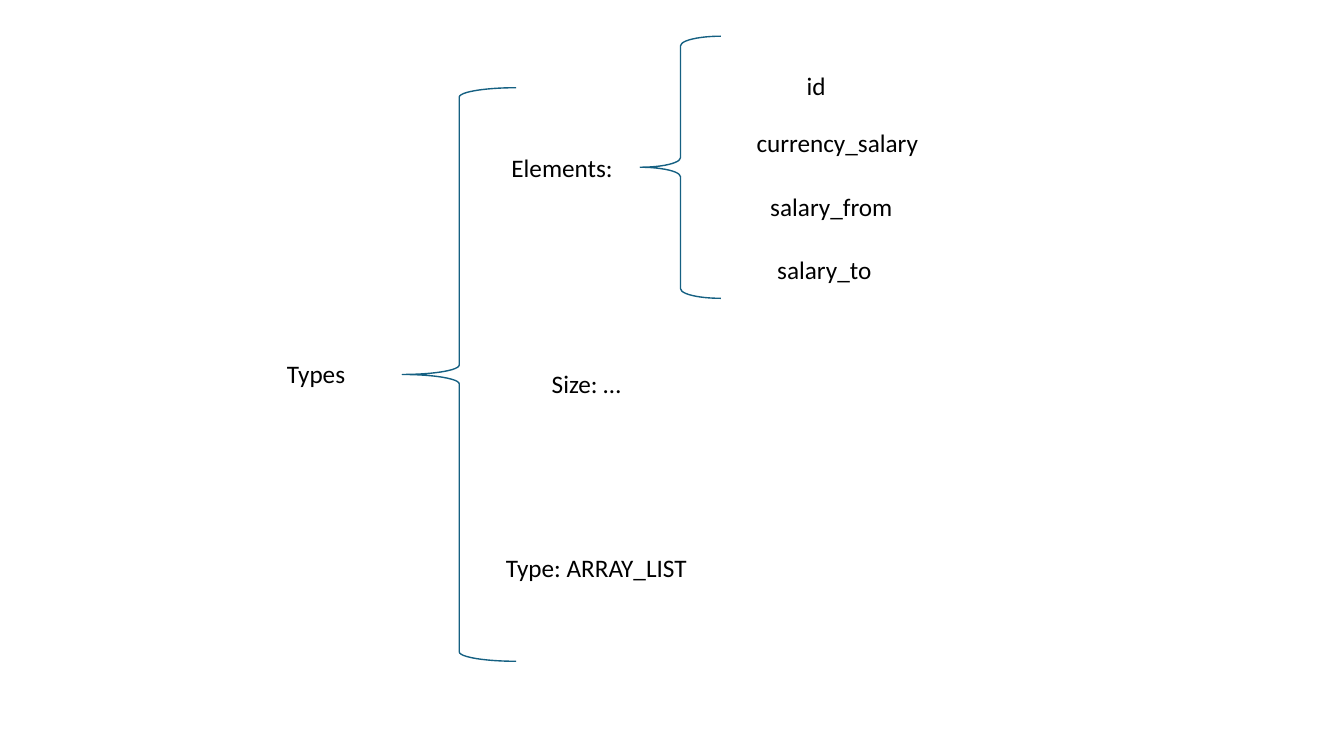
from pptx import Presentation
from pptx.dml.color import RGBColor
from pptx.enum.shapes import MSO_SHAPE
from pptx.enum.text import MSO_AUTO_SIZE, PP_ALIGN
from pptx.util import Inches, Pt

LEFT_BRACE = MSO_SHAPE.LEFT_BRACE
CENTER = PP_ALIGN.CENTER
FIT_SHAPE = MSO_AUTO_SIZE.SHAPE_TO_FIT_TEXT
BLANK_LAYOUT = 6
LABEL_WIDTH, LABEL_HEIGHT = 3.01, 0.4


def color(hex_text):
    return RGBColor.from_string(hex_text)


def add_label(page, left, top, text):
    label = page.shapes.add_textbox(
        Inches(left), Inches(top), Inches(LABEL_WIDTH), Inches(LABEL_HEIGHT))
    frame = label.text_frame
    frame.word_wrap = True
    frame.auto_size = FIT_SHAPE
    para = frame.paragraphs[0]
    para.text = text
    para.alignment = CENTER
    para.font.name = "Calibri"
    para.font.size = Pt(18)
    para.font.color.rgb = color("000000")


def add_brace_group(page, box, curve, labels):
    """Draw a brace in the box, with labels offset from the box's corner."""
    left, top, width, height = box
    brace = page.shapes.add_shape(
        LEFT_BRACE, Inches(left), Inches(top), Inches(width), Inches(height))
    brace.shadow.inherit = False
    brace.fill.background()
    brace.line.color.rgb = color("156082")
    brace.line.width = Pt(1)
    brace.adjustments[0] = curve
    for text, across, down in labels:
        add_label(page, left + across, top + down, text)


def main():
    deck = Presentation()
    deck.slide_width, deck.slide_height = Inches(13.33), Inches(7.5)
    page = deck.slides.add_slide(deck.slide_layouts[BLANK_LAYOUT])

    # Root and its three properties
    add_label(page, 1.63, 3.51, "Types")
    add_brace_group(page, (3.99, 0.87, 1.13, 5.69), 0.083, [
        ("Elements:", 0.08, 0.59),
        ("Size: …", 0.32, 2.74),
        ("Type: ARRAY_LIST", 0.42, 4.56),
    ])

    # Members of the element list
    add_brace_group(page, (6.35, 0.36, 0.8, 2.6), 0.119, [
        ("id", 0.24, 0.29),
        ("currency_salary", 0.45, 0.85),
        ("salary_from", 0.39, 1.49),
        ("salary_to", 0.32, 2.11),
    ])

    deck.save("out.pptx")


if __name__ == "__main__":
    main()
